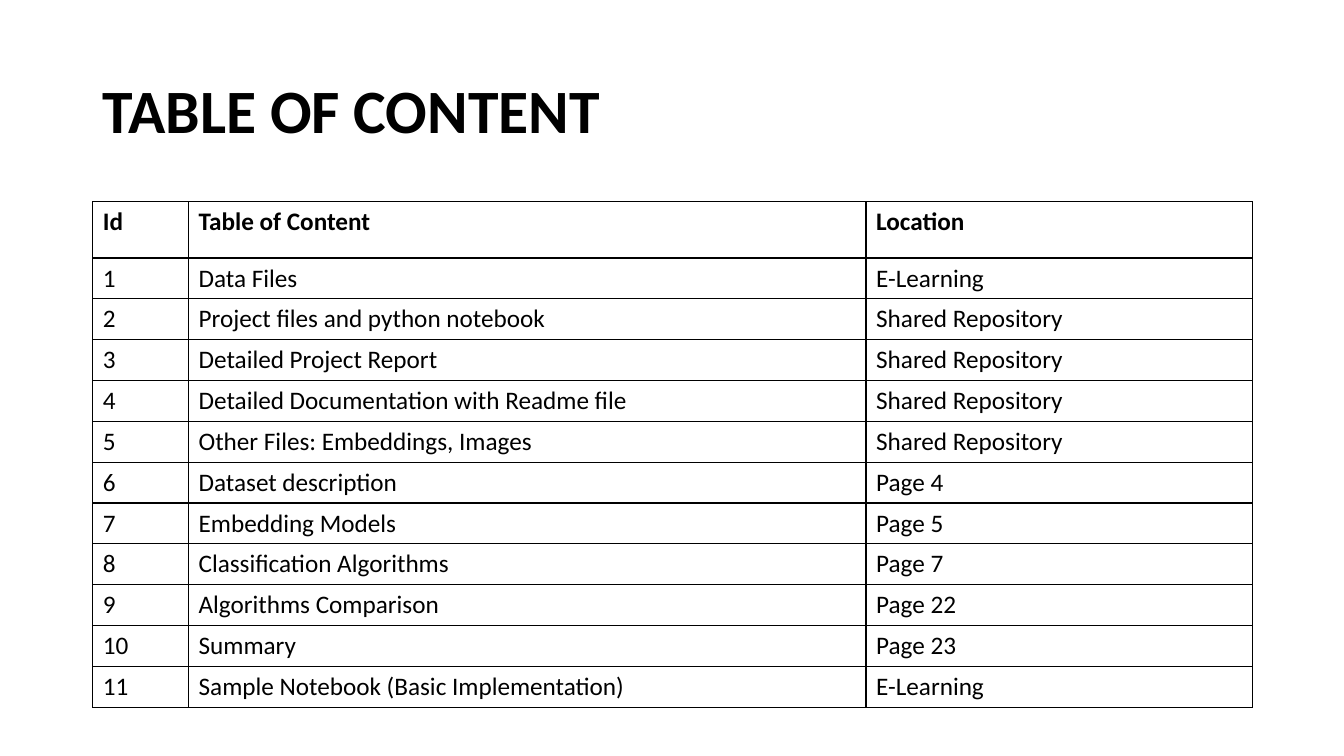
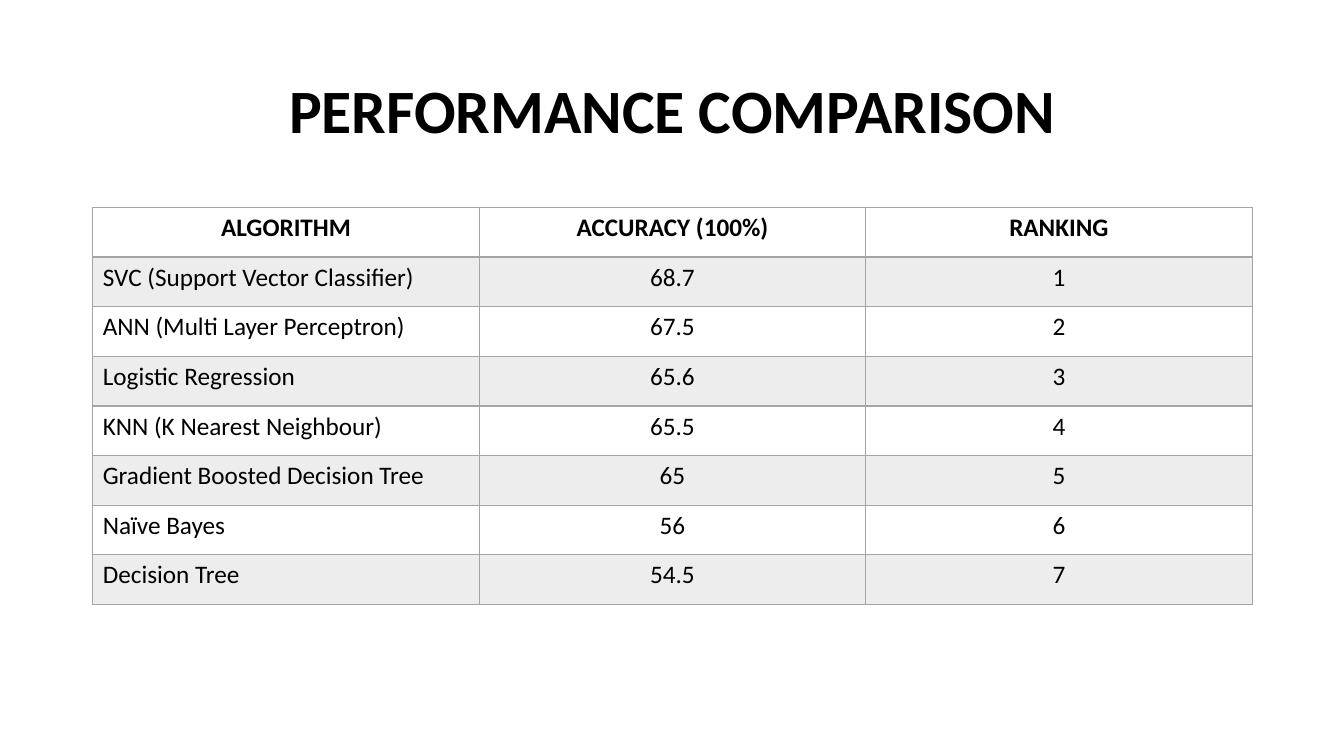
from lxml import etree
from pptx import Presentation
from pptx.dml.color import RGBColor
from pptx.enum.text import MSO_ANCHOR, PP_ALIGN
from pptx.oxml.ns import qn
from pptx.util import Inches, Pt

# Content
CONTENTS = [
    ("Id", "Table of Content", "Location"),
    ("1", "Data Files", "E-Learning"),
    ("2", "Project files and python notebook", "Shared Repository"),
    ("3", "Detailed Project Report", "Shared Repository"),
    ("4", "Detailed Documentation with Readme file", "Shared Repository"),
    ("5", "Other Files: Embeddings, Images", "Shared Repository"),
    ("6", "Dataset description", "Page 4"),
    ("7", "Embedding Models", "Page 5"),
    ("8", "Classification Algorithms", "Page 7"),
    ("9", "Algorithms Comparison", "Page 22"),
    ("10", "Summary", "Page 23"),
    ("11", "Sample Notebook (Basic Implementation)", "E-Learning"),
]
PERFORMANCE = [
    ("ALGORITHM", "ACCURACY (100%)", "RANKING"),
    ("SVC (Support Vector Classifier)", "68.7", "1"),
    ("ANN (Multi Layer Perceptron)", "67.5", "2"),
    ("Logistic Regression", "65.6", "3"),
    ("KNN (K Nearest Neighbour)", "65.5", "4"),
    ("Gradient Boosted Decision Tree", "65", "5"),
    ("Naïve Bayes", "56", "6"),
    ("Decision Tree", "54.5", "7"),
]

# Shared style
BLACK = RGBColor(0x00, 0x00, 0x00)
GREY = RGBColor(0xA5, 0xA5, 0xA5)
BAND_OPACITY = 20
LEFT, WIDTH = 0.92, 11.5
TITLE_FORMAT = {"name": "Calibri", "size": Pt(44), "bold": True}
HEADER_FORMAT = {"name": "Calibri", "size": Pt(18), "bold": True}
BODY_FORMAT = HEADER_FORMAT | {"bold": False}

PAGES = [
    {"title": "TABLE OF CONTENT", "rows": CONTENTS, "top": 2, "height": 5.02,
     "header_height": 0.56, "columns": (0.95, 6.72, 3.83), "line": BLACK,
     "header_rule": 1, "banded": False, "centred": False},
    {"title": "PERFORMANCE COMPARISON", "rows": PERFORMANCE, "top": 2.06, "height": 3.94,
     "header_height": 3.94 / 8, "columns": (WIDTH / 3,) * 3, "line": GREY,
     "header_rule": 2, "banded": True, "centred": True},
]


def write(para, text, formats, centred):
    para.alignment = PP_ALIGN.CENTER if centred else PP_ALIGN.LEFT
    span = para.add_run()
    span.text = text
    for name, value in formats.items():
        setattr(span.font, name, value)
    span.font.color.rgb = BLACK


def add_title(page, text, centred):
    box = page.shapes.add_textbox(Inches(LEFT), Inches(0.4), Inches(WIDTH), Inches(1.45))
    frame = box.text_frame
    frame.word_wrap = True
    frame.vertical_anchor = MSO_ANCHOR.MIDDLE
    para = frame.paragraphs[0]
    para.line_spacing = 0.9
    write(para, text, TITLE_FORMAT, centred)


def set_borders(cell, color, widths):
    properties = cell._tc.get_or_add_tcPr()
    for side, width in widths.items():
        line = etree.SubElement(properties, qn(f"a:ln{side}"), w=str(Pt(width)))
        fill = etree.SubElement(line, qn("a:solidFill"))
        etree.SubElement(fill, qn("a:srgbClr"), val=str(color))


def set_band(cell, shaded):
    if not shaded:
        cell.fill.background()
        return
    cell.fill.solid()
    cell.fill.fore_color.rgb = GREY
    color = cell._tc.tcPr.find(qn("a:solidFill")).find(qn("a:srgbClr"))
    etree.SubElement(color, qn("a:alpha"), val=str(BAND_OPACITY * 1000))


def add_grid(page, rows, top, height, header_height, columns, line,
             header_rule, banded, centred):
    frame = page.shapes.add_table(len(rows), len(columns), Inches(LEFT), Inches(top),
                                  Inches(WIDTH), Inches(height))
    table = frame.table
    table.horz_banding = False
    for column, width in zip(table.columns, columns):
        column.width = Inches(width)
    body_height = (height - header_height) / (len(rows) - 1)
    for r, values in enumerate(rows):
        header = r == 0
        table.rows[r].height = Inches(header_height if header else body_height)
        widths = {"L": 1, "R": 1, "T": header_rule if r == 1 else 1,
                  "B": header_rule if header else 1}
        for c, text in enumerate(values):
            cell = table.cell(r, c)
            write(cell.text_frame.paragraphs[0], text,
                  HEADER_FORMAT if header else BODY_FORMAT,
                  centred and (header or c > 0))
            set_borders(cell, line, widths)
            set_band(cell, banded and r % 2 == 1)


# Build the deck
deck = Presentation()
deck.slide_width, deck.slide_height = Inches(13.33), Inches(7.5)
for content in PAGES:
    page = deck.slides.add_slide(deck.slide_layouts[6])
    grid = dict(content)
    add_title(page, grid.pop("title"), content["centred"])
    add_grid(page, **grid)
deck.save("out.pptx")
